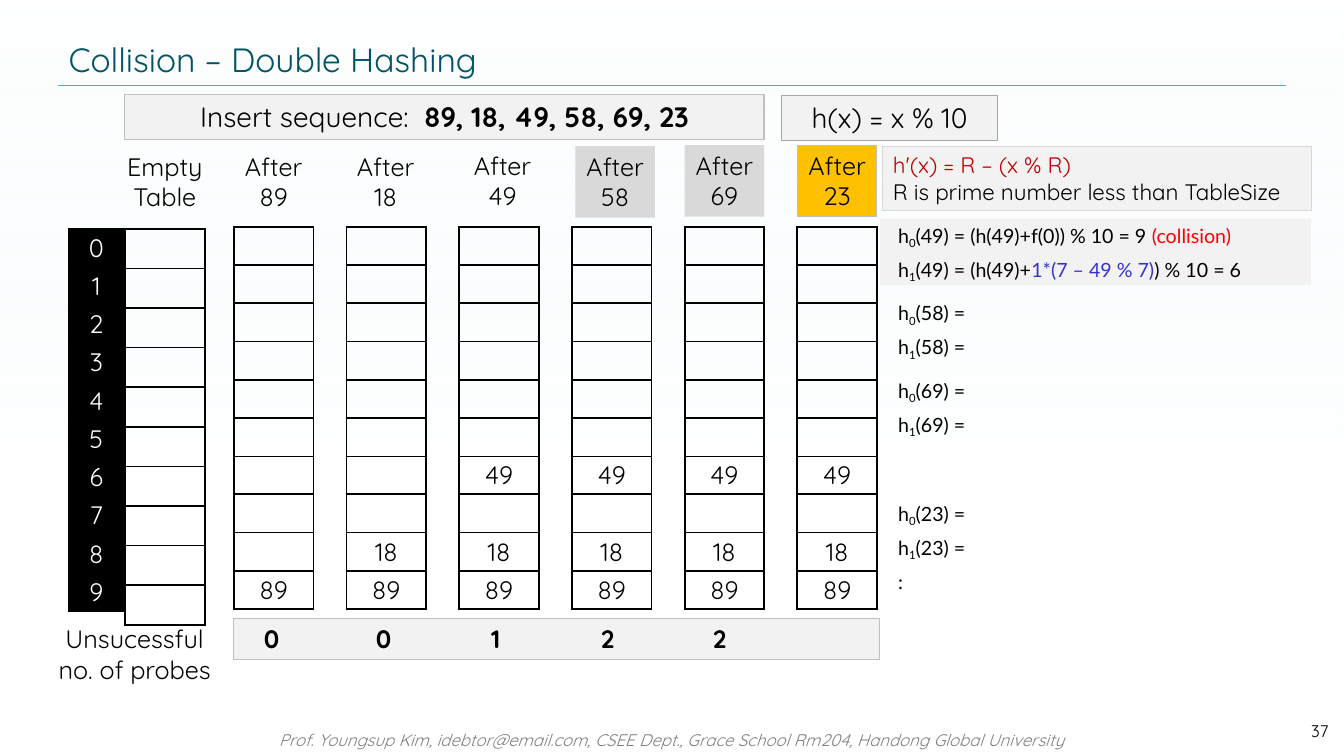
import pptx
import pptx.dml.color
import pptx.enum.shapes
import pptx.enum.text
import pptx.oxml
import pptx.oxml.ns
import pptx.util

Pt = pptx.util.Pt
RGB = pptx.dml.color.RGBColor
ALIGN = pptx.enum.text.PP_ALIGN
ANCHOR = pptx.enum.text.MSO_ANCHOR

BLACK, WHITE = RGB(0, 0, 0), RGB(255, 255, 255)
TEAL, SKY, GRAY = RGB(0x00, 0x54, 0x66), RGB(0x4F, 0xAD, 0xD1), RGB(0x80, 0x80, 0x80)
PANEL, SILVER, MID = RGB(0xF2, 0xF2, 0xF2), RGB(0xD9, 0xD9, 0xD9), RGB(0xBF, 0xBF, 0xBF)
EDGE, GOLD = RGB(0xA6, 0xA6, 0xA6), RGB(0xFF, 0xC0, 0x00)
DARK_RED, RED, BLUE = RGB(0xC0, 0, 0), RGB(0xFF, 0, 0), RGB(0x33, 0x33, 0xCC)

NS = pptx.oxml.ns.nsdecls("a")
CELL_W, ROW_H, ROWS = 56.9, 27.3, 10
TABLE_X, TABLE_Y, STEP = 167, 162, 80.5


def add_run(p, text, size=18, font="Quicksand", color=BLACK, bold=False,
            italic=False, sub=False):
    """Append formatted text to a paragraph."""
    r = p.add_run()
    r.text = text
    r.font.size, r.font.name = Pt(size), font
    r.font.bold, r.font.italic = bold, italic
    r.font.color.rgb = color
    if sub:
        r.font._element.set("baseline", "-21000")


def write(tf, paragraphs, align=ALIGN.LEFT, before=0, indent=0, tabs=(), **fmt):
    """Fill a frame; a paragraph is a string or a list of (text, format) runs."""
    for i, runs in enumerate(paragraphs):
        p = tf.add_paragraph() if i else tf.paragraphs[0]
        p.alignment, p.space_before = align, Pt(before)
        pPr = p._p.get_or_add_pPr()
        if indent:
            pPr.set("marL", str(Pt(indent)))
        if tabs:
            stops = "".join(f'<a:tab pos="{Pt(t)}" algn="ctr"/>' for t in tabs)
            pPr.append(pptx.oxml.parse_xml(f"<a:tabLst {NS}>{stops}</a:tabLst>"))
        for text, own in [(runs, {})] if isinstance(runs, str) else runs:
            add_run(p, text, **{**fmt, **own})


class Deck:
    """Holds the presentation, its style and the current slide."""

    def __init__(self, width, height):
        """Open a title-only slide of the given size."""
        self.prs = pptx.Presentation()
        self.prs.slide_width, self.prs.slide_height = Pt(width), Pt(height)
        self.s = self.prs.slides.add_slide(self.prs.slide_layouts[5])

    def title(self, box, text):
        """Place and format the title."""
        sp = self.s.shapes.title
        sp.left, sp.top, sp.width, sp.height = map(Pt, box)
        sp.text_frame.vertical_anchor = ANCHOR.MIDDLE
        write(sp.text_frame, [text], size=24, color=TEAL)

    def backdrop(self):
        """Lay a faint vertical gradient behind everything."""
        size = self.prs.slide_width.pt, self.prs.slide_height.pt
        sp = self.box((0, 0, *size), [])
        stops = "".join(
            f'<a:gs pos="{pos}"><a:srgbClr val="{color}"><a:alpha val="{alpha}"/>'
            "</a:srgbClr></a:gs>"
            for pos, color, alpha in ((0, "D9F3F4", 0), (61000, "FFFFFF", 40000)))
        grad = pptx.oxml.parse_xml(
            f'<a:gradFill {NS}><a:gsLst>{stops}</a:gsLst><a:lin ang="5400000"/></a:gradFill>')
        old = sp._element.spPr.find(pptx.oxml.ns.qn("a:noFill"))
        old.getparent().replace(old, grad)
        self.s.shapes.title._element.addprevious(sp._element)

    def box(self, box, paragraphs, fill=None, line=None, wrap=True,
            anchor=ANCHOR.TOP, **fmt):
        """Add a rectangle with text, unfilled and unlined by default."""
        sp = self.s.shapes.add_shape(
            pptx.enum.shapes.MSO_SHAPE.RECTANGLE, *map(Pt, box))
        sp.shadow.inherit = False
        if fill:
            sp.fill.solid()
            sp.fill.fore_color.rgb = fill
        else:
            sp.fill.background()
        if line:
            sp.line.color.rgb, sp.line.width = line, Pt(0.75)
        else:
            sp.line.fill.background()
        sp.text_frame.word_wrap = wrap
        sp.text_frame.vertical_anchor = anchor
        write(sp.text_frame, paragraphs, **fmt)
        return sp

    def rule(self, x1, y, x2):
        """Add the thin line under the title."""
        sp = self.s.shapes.add_connector(
            pptx.enum.shapes.MSO_CONNECTOR.STRAIGHT, Pt(x1), Pt(y), Pt(x2), Pt(y))
        sp.line.color.rgb, sp.line.width = SKY, Pt(0.25)
        sp._element.spPr.append(pptx.oxml.parse_xml(f"<a:effectLst {NS}/>"))

    def column(self, x, y, slots, width=CELL_W, row_h=ROW_H, fill=None, color=BLACK):
        """Add a one-column hash table; slots maps a row to its value."""
        table = self.s.shapes.add_table(
            ROWS, 1, *map(Pt, (x, y, width, row_h * ROWS))).table
        table.first_row = table.horz_banding = False
        for i in range(ROWS):
            table.rows[i].height = Pt(row_h)
            cell = table.cell(i, 0)
            cell.margin_left = cell.margin_right = 0
            cell.margin_top = cell.margin_bottom = Pt(2 if i in slots else 0)
            cell.vertical_anchor = ANCHOR.MIDDLE
            if fill:
                cell.fill.solid()
                cell.fill.fore_color.rgb = fill
            else:
                cell.fill.background()
            self.borders(cell, top=1 if i in (1, 6) else 1.5,
                         bottom=1 if i in (0, 5) else 1.5)
            if i in slots:
                write(cell.text_frame, [str(slots[i])], align=ALIGN.CENTER, color=color)

    def borders(self, cell, top, bottom):
        """Draw the four black borders of a cell."""
        widths = {"lnL": 1.5, "lnR": 1.5, "lnT": top, "lnB": bottom}
        for i, (tag, width) in enumerate(widths.items()):
            cell._tc.get_or_add_tcPr().insert(i, pptx.oxml.parse_xml(
                f'<a:{tag} {NS} w="{Pt(width)}"><a:solidFill><a:srgbClr val="{BLACK}"/>'
                f"</a:solidFill></a:{tag}>"))


def probe(i, key, *rest):
    """Return the runs of one probe line, h with subscript i."""
    return [("h", {}), (str(i), {"sub": True}), (f"({key}) = ", {}), *rest]


deck = Deck(960, 540)
deck.title((41.8, 24.5, 877, 36), "Collision – Double Hashing")
deck.backdrop()
deck.rule(41.8, 60.5, 918.7)
deck.box((142.5, 517.5, 675, 21.6),
         ["Prof. Youngsup Kim, idebtor@email.com, CSEE Dept., "
          "Grace School Rm204, Handong Global University"],
         align=ALIGN.CENTER, size=12, color=GRAY, italic=True)
deck.box((872, 507.5, 84, 29), ["37"], anchor=ANCHOR.MIDDLE, align=ALIGN.RIGHT, size=12)

deck.box((89.3, 67.7, 456.5, 31.7),
         [[("Insert sequence:  ", {}), ("89, 18, 49, 58, 69, 23", {"bold": True})]],
         fill=PANEL, line=MID, align=ALIGN.CENTER, size=20)
deck.box((558, 68.4, 154.8, 31.7), ["h(x) = x % 10"],
         fill=PANEL, line=EDGE, align=ALIGN.CENTER, size=20)
deck.box((630.7, 104.4, 306, 46),
         [[("h'(x) = R – (x % R)", {"color": DARK_RED})],
          "R is prime number less than TableSize"],
         fill=PANEL, line=SILVER, size=16)

deck.column(49, 163.4, dict(enumerate(range(ROWS))), width=39.6, fill=BLACK, color=WHITE)
deck.column(89.3, 163.4, {}, row_h=28.3)
deck.box((82.8, 104.4, 69.8, 51), ["Empty", "Table"], wrap=False, align=ALIGN.CENTER)

home = {89: 9, 18: 8, 49: 6}
slots = {}
headers = [(89, 167, 104.4, None, None), (18, 247, 104.4, None, None),
           (49, 330.5, 103.7, None, None), (58, 411, 104.4, SILVER, None),
           (69, 489, 103.7, SILVER, None), (23, 569.5, 103.7, GOLD, MID)]
for n, (key, x, y, fill, line) in enumerate(headers):
    if key in home:
        slots[home[key]] = key
    deck.column(TABLE_X + n * STEP, TABLE_Y, slots)
    deck.box((x, y, CELL_W, 51), ["After", str(key)], fill=fill, line=line,
             wrap=False, align=ALIGN.CENTER)

formula = dict(size=14, font="Lato", before=5.8, indent=5.8)
deck.box((628.6, 156.2, 308, 47.5),
         [probe(0, 49, ("(h(49)+f(0)) % 10 = 9 ", {}), ("(collision)", {"color": RED})),
          probe(1, 49, ("(h(49)+", {}), ("1*(7 – 49 % 7)", {"color": BLUE}),
                (") % 10 = 6", {}))],
         fill=PANEL, **formula)
for key, y, height, tail in ((58, 211.7, 47.5, []), (69, 267, 47.5, []),
                             (23, 355, 70.6, [":"])):
    deck.box((628.6, y, 140, height), [probe(0, key), probe(1, key), *tail], **formula)

deck.box((167, 442, 461.5, 29), ["\t0\t0\t1\t2\t2"], fill=PANEL, line=MID,
         bold=True, tabs=[20 + 80 * i for i in range(5)])
deck.box((26.6, 442, 131, 51), ["Unsucessful ", "no. of probes"], align=ALIGN.RIGHT)

deck.prs.save("out.pptx")
